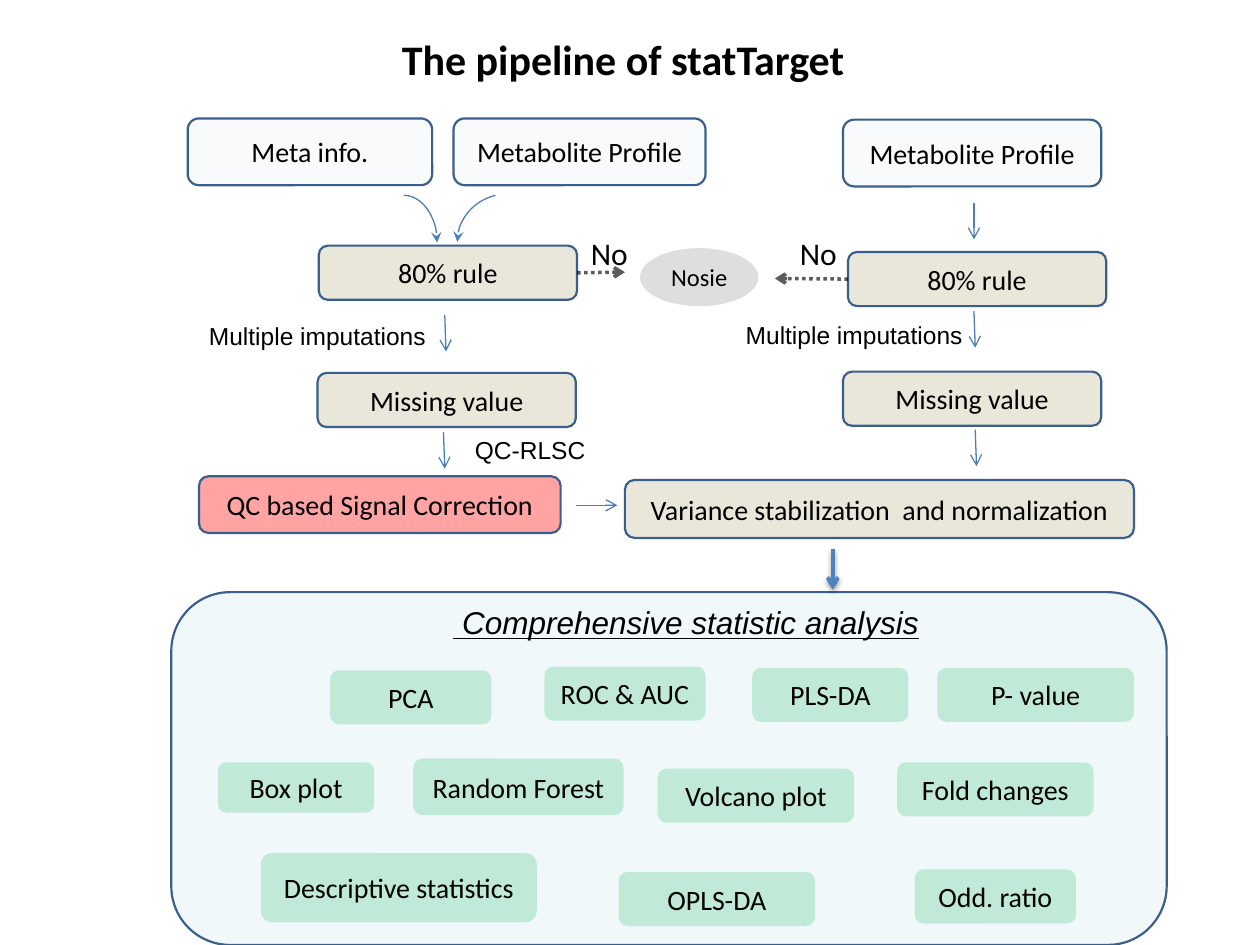
"""Build the statTarget pipeline flow slide."""
import pptx
import pptx.util
import pptx.dml.color
import pptx.enum.dml
import pptx.enum.shapes
import pptx.enum.text
import pptx.oxml
import pptx.oxml.ns

Inches = pptx.util.Inches
Kind = pptx.enum.shapes.MSO_SHAPE
Align = pptx.enum.text.PP_ALIGN
Dash = pptx.enum.dml.MSO_LINE

HUES = {
    "edge": "3A5F8C", "thin": "4B7EBC", "bold": "4F81BD", "ink": "000000",
    "aqua": "B7DEE8", "blue": "4F81BD", "tan": "C4BD97", "red": "FF0000",
    "green": "00B050", "gray": "808080",
}
LOOKS = {
    "panel": ("aqua", 20, True), "input": ("blue", 4, True),
    "step": ("tan", 36, True), "fix": ("red", 36, True),
    "test": ("green", 20, False), "noise": ("gray", 26, False),
}
BOXES = [
    ("panel", "panel", "", 1.36, 4.7, 7.9, 2.8),
    ("meta", "input", "Meta info.", 1.49, 0.94, 1.94, 0.53),
    ("left", "input", "Metabolite Profile", 3.6, 0.94, 2, 0.53),
    ("right", "input", "Metabolite Profile", 6.69, 0.95, 2.05, 0.53),
    ("rule1", "step", "80% rule", 2.53, 1.95, 2.05, 0.43),
    ("rule2", "step", "80% rule", 6.73, 2, 2.05, 0.43),
    ("miss1", "step", "Missing value", 2.52, 2.96, 2.05, 0.43),
    ("miss2", "step", "Missing value", 6.69, 2.95, 2.05, 0.43),
    ("norm", "step", "Variance stabilization  and normalization",
     4.96, 3.81, 4.04, 0.46),
    ("fix", "fix", "QC based Signal Correction", 1.58, 3.78, 2.87, 0.45),
    ("noise", "noise", "Nosie", 5.08, 1.97, 0.94, 0.46),
]
TESTS = [
    ("PCA", 2.62, 5.32, 1.28, 0.43), ("ROC & AUC", 4.32, 5.29, 1.28, 0.43),
    ("PLS-DA", 5.97, 5.3, 1.24, 0.43), ("P- value", 7.44, 5.3, 1.56, 0.43),
    ("Box plot", 1.73, 6.05, 1.24, 0.4),
    ("Random Forest", 3.28, 6.02, 1.67, 0.45),
    ("Volcano plot", 5.22, 6.1, 1.56, 0.43),
    ("Fold changes", 7.12, 6.05, 1.56, 0.43),
    ("Descriptive statistics", 2.07, 6.77, 2.19, 0.55),
    ("OPLS-DA", 4.91, 6.92, 1.56, 0.43),
    ("Odd. ratio", 7.26, 6.9, 1.28, 0.43),
]
BOXES += [(name, "test", name, *spot) for name, *spot in TESTS]

FONTS = {
    "box": {"name": "Calibri", "size": 16},
    "noise": {"name": "Calibri", "size": 14},
    "note": {"name": "Arial", "size": 14},
    "no": {"name": "Calibri", "size": 18},
    "head": {"name": "Arial", "size": 18, "italic": True, "underline": True},
    "title": {"name": "Calibri", "size": 24, "bold": True},
}
LABELS = [
    ("note", "Multiple imputations", 1.56, 2.5, 1.93, 0.34, False),
    ("note", "Multiple imputations", 5.82, 2.49, 1.93, 0.34, False),
    ("note", "QC-RLSC", 3.67, 3.4, 1.09, 0.34, False),
    ("no", "No", 4.59, 1.81, 0.79, 0.4, True),
    ("no", "No", 6.25, 1.81, 0.79, 0.4, True),
    ("head", " Comprehensive statistic analysis", 3.5, 4.74, 5, 0.4, True),
    ("title", "The pipeline of statTarget", 3.07, 0.26, 3.75, 0.46, False),
]
PENS = {
    "thin": ("thin", 0.75, 100, Dash.SOLID),
    "bold": ("bold", 2.25, 100, Dash.SOLID),
    "dots": ("ink", 2, 63, Dash.ROUND_DOT),
}
LINES = [
    ("thin", 3.53, 2.5, 3.54, 2.79, None),
    ("thin", 3.52, 3.43, 3.53, 3.72, None),
    ("thin", 7.73, 1.61, 7.73, 1.9, None),
    ("thin", 7.73, 2.47, 7.74, 2.76, None),
    ("thin", 7.74, 3.41, 7.75, 3.7, None),
    ("thin", 4.57, 4.01, 4.9, 4.01, None),
    ("bold", 6.61, 4.36, 6.61, 4.68, None),
    ("dots", 4.58, 2.16, 4.96, 2.16, ("rule1", 3)),
    ("dots", 6.73, 2.21, 6.15, 2.21, ("rule2", 1)),
]
ARCS = [(2.94, 1.55, 0.53, 0.75, 162, False),
        (3.63, 1.54, 0.8, 0.76, 170.76, True)]
SHADE = ('<a:outerShdw %s blurRad="39370" dist="20320" dir="5400000" rotWithShape="0">'
         '<a:srgbClr val="000000"><a:alpha val="38000"/></a:srgbClr></a:outerShdw>'
         % pptx.oxml.ns.nsdecls("a"))


def add(node, tag, **vals):
    kid = node.makeelement(pptx.oxml.ns.qn(tag), vals)
    node.append(kid)
    return kid


def tint(fill, hue, part=100):
    fill.solid()
    fill.fore_color.rgb = pptx.dml.color.RGBColor.from_string(HUES[hue])
    if part < 100:
        node = fill._xPr.find(".//" + pptx.oxml.ns.qn("a:srgbClr"))
        add(node, "a:alpha", val=str(part * 1000))


def draw(line, pen, tip):
    hue, size, part, dash = PENS[pen]
    tint(line.fill, hue, part)
    line.width = pptx.util.Pt(size)
    line.dash_style = dash
    add(line._get_or_add_ln(), "a:tailEnd", type=tip)


def write(frame, text, font, align, wrap):
    frame.word_wrap = wrap
    par = frame.paragraphs[0]
    par.alignment = align
    run = par.add_run()
    run.text = text
    for key, val in FONTS[font].items():
        setattr(run.font, key, pptx.util.Pt(val) if key == "size" else val)
    tint(run.font.fill, "ink")
    return par


def main():
    deck = pptx.Presentation()
    deck.slide_width, deck.slide_height = Inches(10), Inches(7.5)
    items = deck.slides.add_slide(deck.slide_layouts[6]).shapes
    made = {}

    for name, look, text, *spot in BOXES:
        hue, part, edge = LOOKS[look]
        kind = Kind.OVAL if look == "noise" else Kind.ROUNDED_RECTANGLE
        box = made[name] = items.add_shape(kind, *map(Inches, spot))
        box.shadow.inherit = False
        tint(box.fill, hue, part)
        if edge:
            tint(box.line.fill, "edge")
            box.line.width = pptx.util.Pt(1.25)
        else:
            box.line.fill.background()
        if text:
            box.text_frame.vertical_anchor = pptx.enum.text.MSO_ANCHOR.MIDDLE
            font = "noise" if look == "noise" else "box"
            write(box.text_frame, text, font, Align.CENTER, True)

    for pen, *ends, joint in LINES:
        line = items.add_connector(
            pptx.enum.shapes.MSO_CONNECTOR.STRAIGHT, *map(Inches, ends))
        if joint:
            line.begin_connect(made[joint[0]], joint[1])
        draw(line.line, pen, "arrow")
        glow = add(line._element.spPr, "a:effectLst")
        if pen == "bold":
            glow.append(pptx.oxml.parse_xml(SHADE))

    for *spot, start, flip in ARCS:
        arc = items.add_shape(Kind.ARC, *map(Inches, spot))
        arc.shadow.inherit = False
        arc.fill.background()
        arc.adjustments[0] = start
        draw(arc.line, "thin", "stealth")
        if flip:
            arc._element.spPr.find(pptx.oxml.ns.qn("a:xfrm")).set("flipH", "1")

    for font, text, *spot, wrap in LABELS:
        frame = items.add_textbox(*map(Inches, spot)).text_frame
        frame.auto_size = pptx.enum.text.MSO_AUTO_SIZE.SHAPE_TO_FIT_TEXT
        align = Align.CENTER if font == "title" else Align.LEFT
        par = write(frame, text, font, align, wrap)
        if font == "title":
            par.line_spacing = 0.9

    deck.save("out.pptx")


if __name__ == "__main__":
    main()
